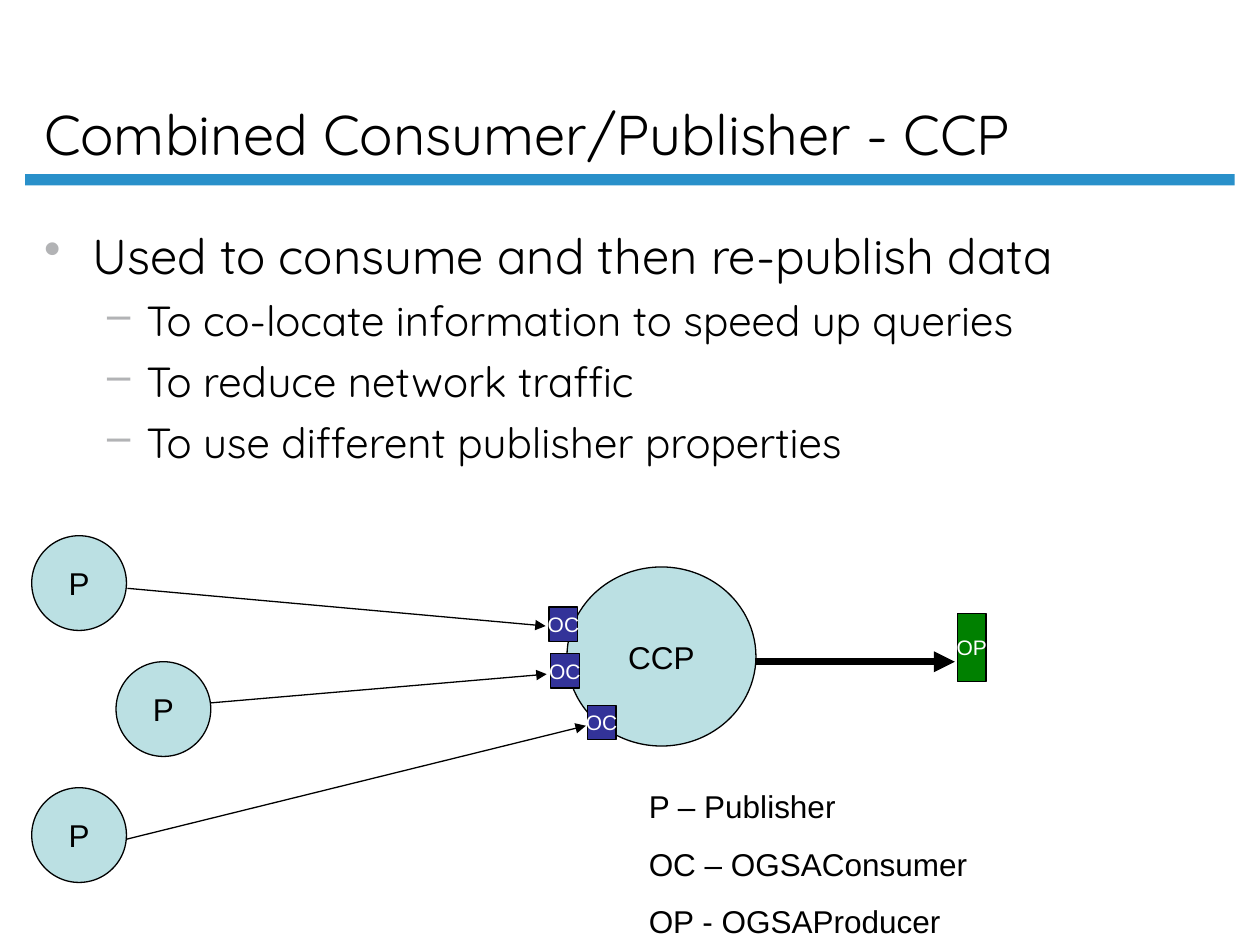
from lxml import etree
from pptx import Presentation
from pptx.dml.color import RGBColor
from pptx.enum.shapes import MSO_CONNECTOR, MSO_SHAPE
from pptx.enum.text import MSO_ANCHOR, PP_ALIGN
from pptx.oxml.ns import qn
from pptx.util import Cm, Pt

OVAL, RECT = MSO_SHAPE.OVAL, MSO_SHAPE.RECTANGLE
LINE = MSO_CONNECTOR.STRAIGHT
BOTTOM, MIDDLE, TOP = MSO_ANCHOR.BOTTOM, MSO_ANCHOR.MIDDLE, MSO_ANCHOR.TOP
LEFT, CENTER = PP_ALIGN.LEFT, PP_ALIGN.CENTER

HUES = {
    "black": "000000", "white": "FFFFFF", "bar": "2990CA", "dot": "B2B3B5",
    "node": "BBE0E3", "input": "333399", "output": "008000",
}
RGB = {name: RGBColor.from_string(code) for name, code in HUES.items()}


def write(frame, rows, face, hue="black", align=LEFT, anchor=TOP, wrap=True):
    for key, value in {"word_wrap": wrap, "vertical_anchor": anchor}.items():
        setattr(frame, key, value)
    for i, (text, size, gap) in enumerate(rows):
        para = frame.paragraphs[0] if i == 0 else frame.add_paragraph()
        for key, value in {"alignment": align, "space_before": Pt(gap)}.items():
            setattr(para, key, value)
        run = para.add_run()
        run.text = text
        for key, value in {"name": face, "size": Pt(size)}.items():
            setattr(run.font, key, value)
        run.font.color.rgb = RGB[hue]


def draw(kind, box, fill, edge=True):
    shape = slide.shapes.add_shape(kind, *map(Cm, box))
    shape.shadow.inherit = False
    shape.fill.solid()
    shape.fill.fore_color.rgb = RGB[fill]
    if edge:
        shape.line.color.rgb = RGB["black"]
        shape.line.width = Pt(0.75)
    else:
        shape.line.fill.background()
    return shape


deck = Presentation()
for key, value in {"slide_width": Cm(25.4), "slide_height": Cm(19.05)}.items():
    setattr(deck, key, value)
slide = deck.slides.add_slide(deck.slide_layouts[6])

draw(RECT, (0.51, 3.51, 24.38, 0.23), "bar", edge=False)

title = slide.shapes.add_textbox(Cm(0.64), Cm(0.3), Cm(21.74), Cm(3.18))
write(title.text_frame, [("Combined Consumer/Publisher - CCP", 32, 0)],
      "Quicksand", anchor=BOTTOM)

body = slide.shapes.add_textbox(Cm(0.64), Cm(4.42), Cm(23.9), Cm(13.97))
write(body.text_frame, [
    ("Used to consume and then re-publish data", 28, 0),
    ("To co-locate information to speed up queries", 24, 6),
    ("To reduce network traffic", 24, 6),
    ("To use different publisher properties", 24, 6),
], "Quicksand")
for i, para in enumerate(body.text_frame.paragraphs):
    level, left, hang, mark = (1, 2.06, 0.79, "–") if i else (0, 0.97, 0.97, "•")
    para.level = level
    props = para._p.get_or_add_pPr()
    for key, value in {"marL": Cm(left), "indent": -Cm(hang)}.items():
        props.set(key, str(int(value)))
    tint = etree.SubElement(props, qn("a:buClr"))
    etree.SubElement(tint, qn("a:srgbClr"), val=HUES["dot"])
    etree.SubElement(props, qn("a:buChar"), char=mark)

nodes = [("P", x, y, 1.91, 1.91) for x, y in
         ((0.64, 10.8), (2.34, 13.34), (0.64, 15.88))]
nodes.append(("CCP", 11.43, 11.43, 3.81, 3.61))
for text, *box in nodes:
    node = draw(OVAL, box, "node")
    write(node.text_frame, [(text, 18, 0)], "Arial",
          align=CENTER, anchor=MIDDLE, wrap=False)

for *ends, width in (
    (2.57, 11.86, 11, 12.62, 0.75),
    (2.54, 16.92, 11.81, 14.63, 0.75),
    (4.24, 14.17, 11.02, 13.59, 0.75),
    (15.24, 13.34, 19.25, 13.34, 4),
):
    arrow = slide.shapes.add_connector(LINE, *map(Cm, ends))
    arrow.line.color.rgb = RGB["black"]
    arrow.line.width = Pt(width)
    etree.SubElement(arrow.line._get_or_add_ln(), qn("a:tailEnd"), type="triangle")
    etree.SubElement(arrow._element.spPr, qn("a:effectLst"))

legend = slide.shapes.add_textbox(Cm(12.83), Cm(15.75), Cm(8.26), Cm(3.35))
write(legend.text_frame, [
    ("P – Publisher", 18, 0),
    ("OC – OGSAConsumer", 18, 11.2),
    ("OP - OGSAProducer", 18, 11.2),
], "Arial")

ports = [("OC", "input", x, y, 0.58, 0.69) for x, y in
         ((11.07, 12.24), (11.1, 13.18), (11.84, 14.22))]
ports.append(("OP", "output", 19.3, 12.37, 0.58, 1.37))
for text, fill, *box in ports:
    port = draw(RECT, box, fill)
    write(port.text_frame, [(text, 12, 0)], "Arial", "white",
          align=CENTER, anchor=MIDDLE, wrap=False)

deck.save("out.pptx")
